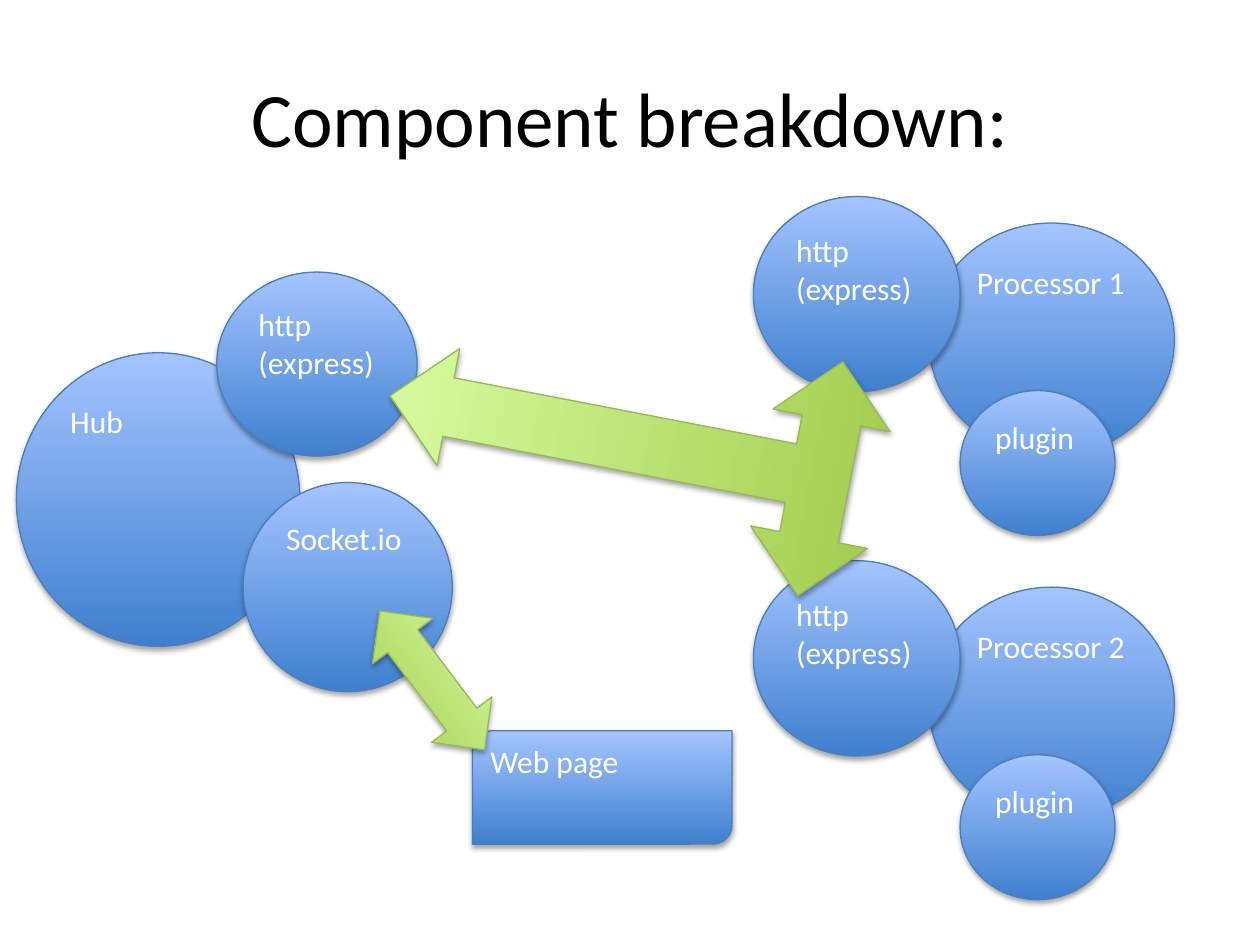
import dataclasses

import pptx
import pptx.dml.color
import pptx.enum.shapes
import pptx.enum.text
import pptx.oxml
import pptx.oxml.ns
import pptx.util

Inches = pptx.util.Inches
Pt = pptx.util.Pt
RGB = pptx.dml.color.RGBColor.from_string
SHAPE = pptx.enum.shapes.MSO_SHAPE
ALIGN = pptx.enum.text.PP_ALIGN
ANCHOR = pptx.enum.text.MSO_ANCHOR


@dataclasses.dataclass(frozen=True)
class Theme:
    font: str = "Calibri"
    title_size: int = 44
    label_size: int = 18
    title_color: str = "000000"
    label_color: str = "FFFFFF"
    # Each palette: gradient bottom, gradient top, outline
    blue: tuple = ("3F80CE", "A4C4FF", "4B7EBC")
    green: tuple = ("A0CA4A", "DAFFA5", "98B955")
    outline_width: float = 0.75


THEME = Theme()

SHADOW = f"""<a:effectLst {pptx.oxml.ns.nsdecls("a")}>
  <a:outerShdw blurRad="{Pt(3.1)}" dist="{Pt(1.8)}" dir="5400000" rotWithShape="0">
    <a:srgbClr val="000000"><a:alpha val="35000"/></a:srgbClr>
  </a:outerShdw>
</a:effectLst>"""


def apply_format(target, values):
    for name, value in values.items():
        setattr(target, name, value)


def write_text(box, text, size, color, align, anchor):
    frame = box.text_frame
    apply_format(frame, {"word_wrap": True, "vertical_anchor": anchor})
    para = frame.paragraphs[0]
    para.alignment = align
    span = para.add_run()
    span.text = text
    apply_format(span.font, {"name": THEME.font, "size": Pt(size)})
    span.font.color.rgb = RGB(color)


def add_title(page, text):
    box = page.shapes.add_textbox(Inches(0.5), Inches(0.3), Inches(9), Inches(1.25))
    write_text(box, text, THEME.title_size, THEME.title_color,
               ALIGN.CENTER, ANCHOR.MIDDLE)


def add_glossy(page, kind, place, palette, rotation=0):
    """Add a shape with a vertical gradient, thin outline and soft shadow."""
    shape = page.shapes.add_shape(kind, *map(Inches, place))
    bottom, top, outline = palette
    shape.rotation = rotation
    shape.fill.gradient()
    shape.fill.gradient_angle = 90
    for position, (stop, color) in enumerate(
            zip(shape.fill.gradient_stops, (bottom, top))):
        stop.color.rgb = RGB(color)
        stop.position = position
    shape.line.color.rgb = RGB(outline)
    shape.line.width = Pt(THEME.outline_width)
    shape.element.spPr.append(pptx.oxml.parse_xml(SHADOW))
    return shape


def add_component(page, text, place, kind=SHAPE.OVAL):
    shape = add_glossy(page, kind, place, THEME.blue)
    write_text(shape, text, THEME.label_size, THEME.label_color,
               ALIGN.LEFT, ANCHOR.TOP)


def add_arrow(page, kind, place, rotation):
    add_glossy(page, kind, place, THEME.green, rotation)


def add_processor(page, number, top):
    """Add a processor with its http server and plugin."""
    add_component(page, f"Processor {number}", (7.37, top + 0.21, 1.95, 1.85))
    add_component(page, "http (express)", (5.98, top, 1.64, 1.55))
    add_component(page, "plugin", (7.62, top + 1.54, 1.23, 1.15))


def main():
    deck = pptx.Presentation()
    apply_format(deck, {"slide_width": Inches(10), "slide_height": Inches(7.5)})
    page = deck.slides.add_slide(deck.slide_layouts[6])

    add_title(page, "Component breakdown:")

    # Hub and the web page it serves
    add_component(page, "Hub", (0.13, 2.8, 2.25, 2.33))
    add_component(page, "Socket.io", (1.93, 3.83, 1.66, 1.66))
    add_component(page, "Web page", (3.75, 5.8, 2.06, 0.9),
                  SHAPE.ROUND_2_DIAG_RECTANGLE)
    add_component(page, "http (express)", (1.72, 2.16, 1.59, 1.46))
    add_arrow(page, SHAPE.LEFT_RIGHT_ARROW, (2.74, 5.1, 1.38, 0.6), 53)

    # Processors, stacked at an equal step
    for index in range(2):
        add_processor(page, index + 1, 1.56 + 2.89 * index)

    # Link from the hub to both processors
    add_arrow(page, SHAPE.LEFT_RIGHT_UP_ARROW, (4.09, 1.54, 1.89, 3.95), 280.9)

    deck.save("out.pptx")


if __name__ == "__main__":
    main()
